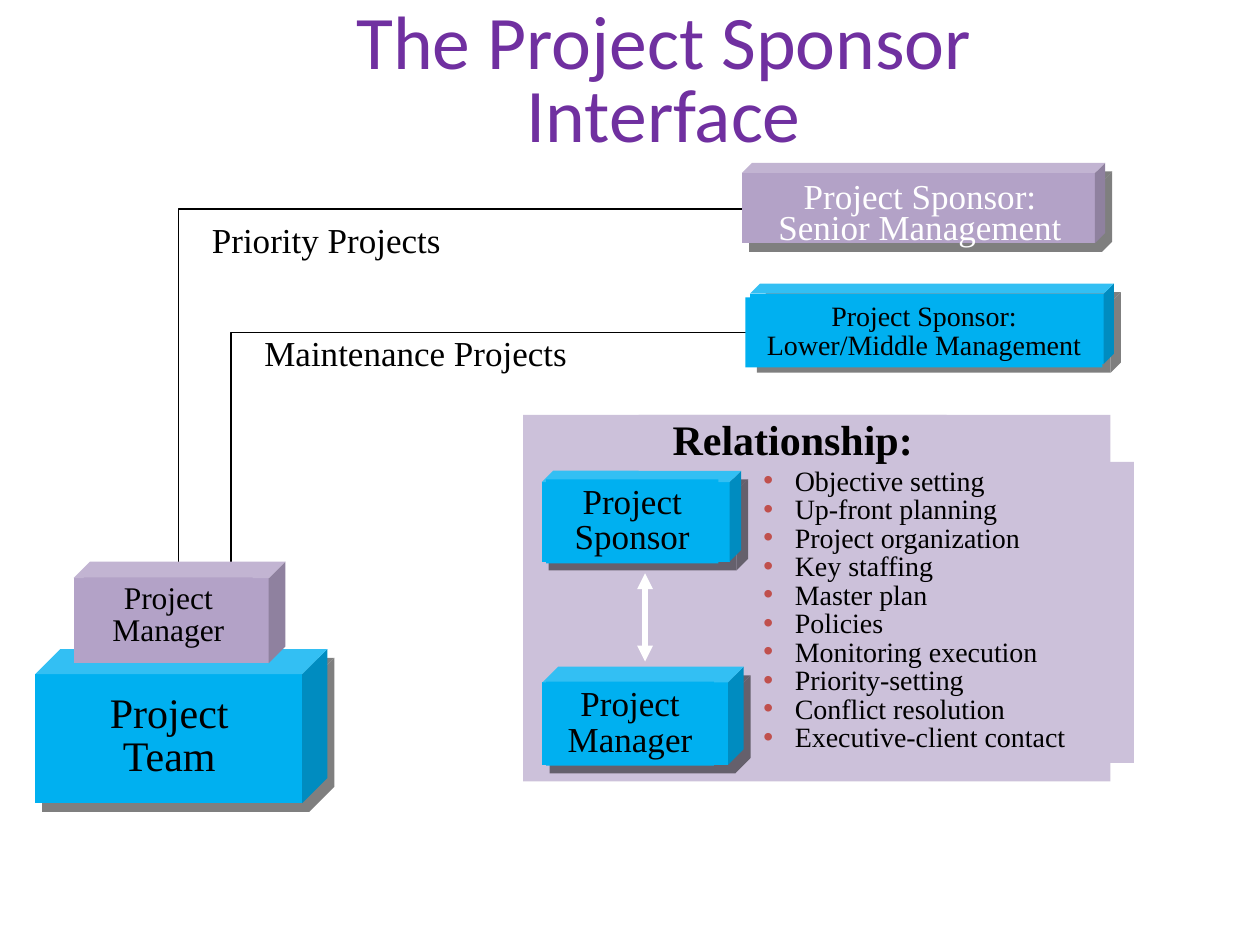
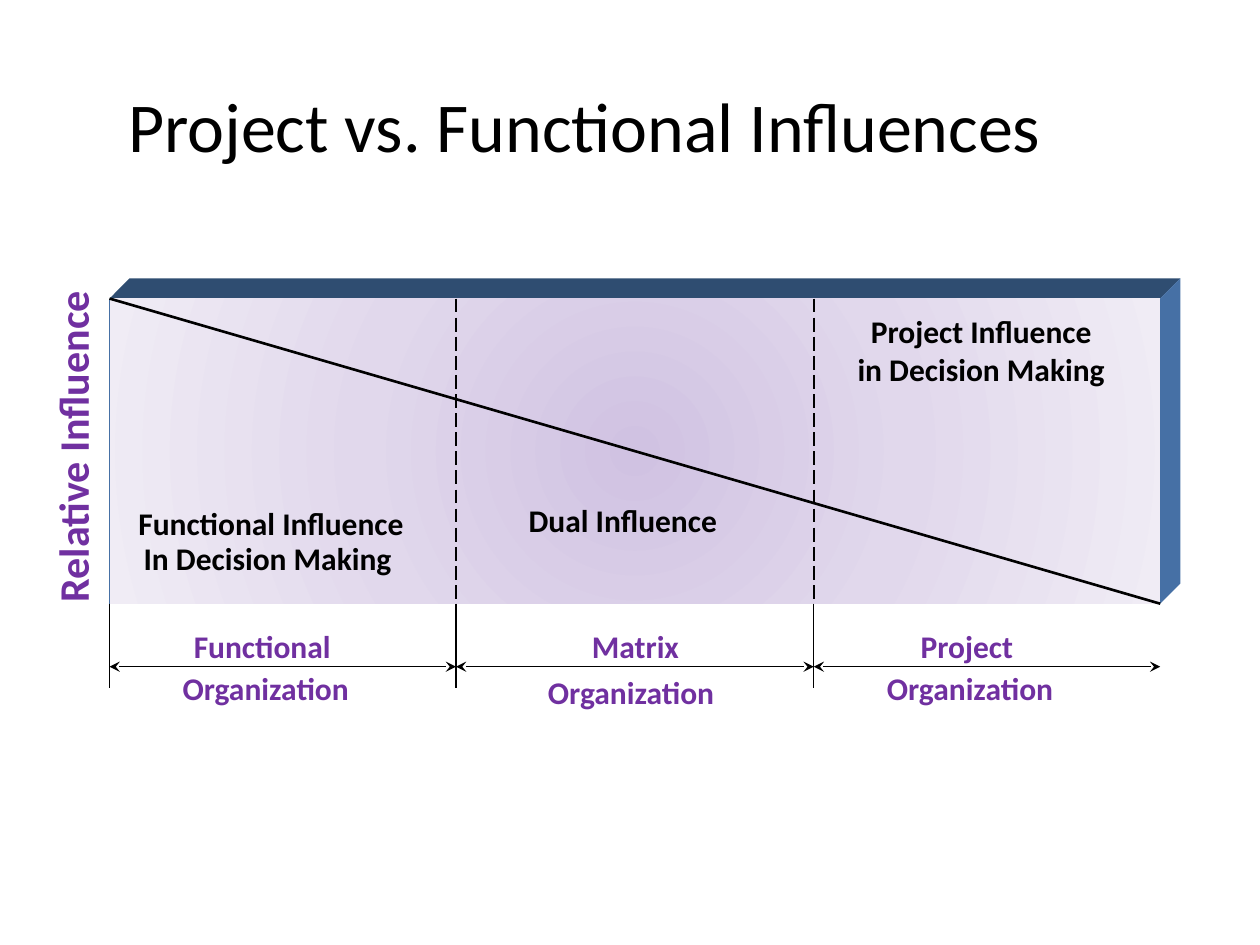
from lxml import etree
from pptx import Presentation
from pptx.dml.color import RGBColor
from pptx.enum import dml, shapes, text
from pptx.oxml.ns import qn
from pptx.util import Pt

BLACK = RGBColor(0x00, 0x00, 0x00)
WHITE = RGBColor(0xFF, 0xFF, 0xFF)
PURPLE = RGBColor(0x70, 0x30, 0xA0)
LILAC = RGBColor(0xB3, 0xA2, 0xC7)
PALE_LILAC = RGBColor(0xCC, 0xC1, 0xDA)
SKY = RGBColor(0x00, 0xB0, 0xF0)
BULLET_RED = RGBColor(0xC0, 0x50, 0x4D)
EDGE_TOP = RGBColor(0x2F, 0x4D, 0x71)
EDGE_SIDE = RGBColor(0x46, 0x70, 0xA5)
GRADIENT = [(0, "D0C2E2"), (50, "E1D8EC"), (100, "F0ECF5")]
SANS, SERIF = "Calibri", "Times New Roman"
LEFT, CENTER = text.PP_ALIGN.LEFT, text.PP_ALIGN.CENTER

# Slide 1: boxes are (left, top, width, height)
TEAM = dict(cube=(20, 371, 167, 88), depth=0.163, label=(33, 393, 127.5, 56),
            words="Project Team", size=24)
MANAGER = dict(cube=(42, 321, 121, 58), depth=0.163, label=(48, 330, 96.5, 44),
               words="Project\vManager", size=18, fill=LILAC, shadow=False)
PANEL_BLOCKS = [
    dict(cube=(310, 381, 115, 56), depth=0.159, label=(312, 389.5, 96, 48),
         words="Project Manager", size=20),
    dict(cube=(309.5, 269, 114, 52), depth=0.127, label=(312, 274, 98.5, 48),
         words="Project\vSponsor", size=20),
]
SPONSORS = [
    dict(cube=(428.5, 162, 208, 46), depth=0.127, label=(426, 170, 204, 40),
         words="Project Sponsor:\vLower/Middle Management", size=16),
    dict(cube=(424, 93, 207.5, 46), depth=0.127, label=(427.5, 101.5, 196.5, 37),
         words="Project Sponsor:\vSenior Management", size=20,
         fill=LILAC, color=WHITE, spacing=0.75),
]
# (words, left, top, right end, bottom end) of each reporting line
REPORTING_LINES = [
    ("Priority Projects", 102, 119.5, 433, 330),
    ("Maintenance Projects", 132, 190, 451, 321),
]
RELATIONSHIP_PANEL = (299, 237, 335.5, 209.5)
RELATIONSHIP_HEADING = (365, 237, 176, 32)
RELATIONSHIP_LIST = (429, 264, 219, 172)
RELATIONSHIPS = [
    "Objective setting", "Up-front planning", "Project organization", "Key staffing",
    "Master plan", "Policies", "Monitoring execution", "Priority-setting",
    "Conflict resolution", "Executive-client contact",
]

# Slide 2
DIVISIONS = [62.6, 260.6, 465, 663]
CHART_TOP, CHART_BOTTOM, CHART_DEPTH = 170.6, 345, 11.5
ARROW_Y, TICK_BOTTOM = 381, 393
INFLUENCES = [
    (["Project Influence", "in Decision Making"], (481.5, 175, 158.5, 51), CENTER),
    (["Dual Influence"], (295, 283, 128, 29), LEFT),
    (["Functional Influence"], (72, 284.5, 178.5, 29), LEFT),
    (["In Decision Making"], (75, 304.5, 158.5, 29), LEFT),
]
ORGANIZATIONS = [
    ("Functional", (103.7, 355, 93.6, 29), (97.2, 378.7, 110, 29)),
    ("Matrix", (331.2, 355, 64.8, 29), (306, 381, 110, 29)),
    ("Project", (519, 355, 70.6, 29), (499.7, 378.7, 110, 29)),
]


def place(shape, box):
    shape.left, shape.top, shape.width, shape.height = (Pt(value) for value in box)


def write(shape, lines, size, font=SERIF, color=BLACK, bold=False, align=LEFT,
          spacing=None, wrap=True, anchor=text.MSO_ANCHOR.TOP):
    """Fill a shape with one paragraph per line; a vertical tab breaks a line."""
    frame = shape.text_frame
    frame.text = "\n".join([lines] if isinstance(lines, str) else lines)
    frame.word_wrap = wrap
    frame.auto_size = text.MSO_AUTO_SIZE.NONE
    frame.vertical_anchor = anchor
    for paragraph in frame.paragraphs:
        paragraph.alignment = align
        paragraph.line_spacing = spacing
        paragraph.space_before = Pt(0)
        for run in paragraph.runs:
            run.font.size, run.font.name, run.font.bold = Pt(size), font, bold
            run.font.color.rgb = color
    for line_break in shape.element.iter(qn("a:br")):
        etree.SubElement(line_break, qn("a:rPr"), sz=str(int(size * 100)))


def add_text(slide, box, lines, size, **style):
    shape = slide.shapes.add_textbox(*(Pt(value) for value in box))
    write(shape, lines, size, **style)


def add_filled(slide, preset, box, fill):
    shape = slide.shapes.add_shape(preset, *(Pt(value) for value in box))
    shape.shadow.inherit = False
    shape.fill.solid()
    shape.fill.fore_color.rgb = fill
    shape.line.fill.background()
    return shape


def add_drop_shadow(shape):
    effects = shape.element.spPr.find(qn("a:effectLst"))
    shadow = etree.SubElement(effects, qn("a:outerShdw"), dist=str(Pt(6.4)),
                              dir=str(51 * 60000), algn="ctr", rotWithShape="0")
    color = etree.SubElement(shadow, qn("a:srgbClr"), val="000000")
    etree.SubElement(color, qn("a:alpha"), val="50000")


def add_block(slide, cube, depth, label, words, size, fill=SKY, color=BLACK,
              spacing=0.85, shadow=True):
    """Draw a cube with a label on its front face."""
    body = add_filled(slide, shapes.MSO_SHAPE.CUBE, cube, fill)
    body.adjustments[0] = depth
    if shadow:
        add_drop_shadow(body)
    face = add_filled(slide, shapes.MSO_SHAPE.RECTANGLE, label, fill)
    write(face, words, size, color=color, align=CENTER, spacing=spacing)


def add_outline(slide, points, closed, fill=None):
    builder = slide.shapes.build_freeform(Pt(points[0][0]), Pt(points[0][1]))
    builder.add_line_segments([(Pt(x), Pt(y)) for x, y in points[1:]], close=closed)
    shape = builder.convert_to_shape()
    shape.shadow.inherit = False
    if fill is None:
        shape.fill.background()
        shape.line.color.rgb = BLACK
        shape.line.width = Pt(0.75)
    else:
        shape.fill.solid()
        shape.fill.fore_color.rgb = fill
        shape.line.fill.background()


def add_line(slide, start, end, color=BLACK, width=0.75, dash=None, arrow=None):
    """Draw a straight line; arrow names the head used at both ends."""
    line = slide.shapes.add_connector(
        shapes.MSO_CONNECTOR.STRAIGHT, *(Pt(value) for value in start + end))
    line.line.color.rgb = color
    line.line.width = Pt(width)
    if dash:
        line.line.dash_style = dash
    if arrow:
        for end_name in ("a:headEnd", "a:tailEnd"):
            etree.SubElement(line.line._get_or_add_ln(), qn(end_name), type=arrow)
    etree.SubElement(line.element.spPr, qn("a:effectLst"))


def add_title(slide, box, words, size, **style):
    place(slide.shapes.title, box)
    write(slide.shapes.title, words, size, font=SANS,
          anchor=text.MSO_ANCHOR.MIDDLE, **style)


def add_relationship_list(slide):
    body = slide.placeholders[1]
    body.element.getparent().append(body.element)  # bring in front of the panel
    place(body, RELATIONSHIP_LIST)
    body.fill.solid()
    body.fill.fore_color.rgb = PALE_LILAC
    write(body, RELATIONSHIPS, 16, spacing=0.85)
    for properties in body.element.iter(qn("a:pPr")):
        properties.set("marL", str(Pt(18)))
        properties.set("indent", str(-Pt(18)))
        color = etree.SubElement(properties, qn("a:buClr"))
        etree.SubElement(color, qn("a:srgbClr"), val=str(BULLET_RED))
        etree.SubElement(properties, qn("a:buChar"), char="•")


def build_sponsor_slide(presentation):
    slide = presentation.slides.add_slide(presentation.slide_layouts[1])
    add_title(slide, (116.6, 11, 525.6, 74), "The Project Sponsor Interface", 43.2,
              color=PURPLE, align=CENTER, spacing=0.8)
    for words, left, top, right, bottom in REPORTING_LINES:
        add_outline(slide, [(left, bottom), (left, top), (right, top)], closed=False)
        add_text(slide, (left + 12, top + 4.5 - 3 * (top > 150) + 3 * (top < 150), 197, 25),
                 words, 20, spacing=0.75)
    add_block(slide, **TEAM)
    add_block(slide, **MANAGER)

    rectangle = shapes.MSO_SHAPE.RECTANGLE
    add_filled(slide, rectangle, RELATIONSHIP_PANEL, PALE_LILAC)
    for block in PANEL_BLOCKS:
        add_block(slide, **block)
    add_relationship_list(slide)
    add_line(slide, (368.6, 327.6), (368.6, 378), WHITE, 3, arrow="triangle")
    heading = add_filled(slide, rectangle, RELATIONSHIP_HEADING, PALE_LILAC)
    write(heading, "Relationship:", 24, bold=True, align=CENTER, spacing=0.85)
    for block in SPONSORS:
        add_block(slide, **block)


def add_influence_panel(slide):
    left, right = DIVISIONS[0], DIVISIONS[-1]
    back_left, back_right = left + CHART_DEPTH, right + CHART_DEPTH
    back_top, back_bottom = CHART_TOP - CHART_DEPTH, CHART_BOTTOM - CHART_DEPTH
    add_outline(slide, [(left, CHART_TOP), (back_left, back_top),
                        (back_right, back_top), (right, CHART_TOP)], True, EDGE_TOP)
    add_outline(slide, [(right, CHART_TOP), (back_right, back_top),
                        (back_right, back_bottom), (right, CHART_BOTTOM)], True, EDGE_SIDE)
    front = add_filled(slide, shapes.MSO_SHAPE.RECTANGLE,
                       (left, CHART_TOP, right - left, CHART_BOTTOM - CHART_TOP), WHITE)
    gradient = etree.Element(qn("a:gradFill"), rotWithShape="1")
    stops = etree.SubElement(gradient, qn("a:gsLst"))
    for position, color in GRADIENT:
        stop = etree.SubElement(stops, qn("a:gs"), pos=str(position * 1000))
        etree.SubElement(stop, qn("a:srgbClr"), val=color)
    circle = etree.SubElement(gradient, qn("a:path"), path="circle")
    etree.SubElement(circle, qn("a:fillToRect"),
                     {side: "50000" for side in ("l", "t", "r", "b")})
    properties = front.element.spPr
    properties.replace(properties.find(qn("a:solidFill")), gradient)
    add_line(slide, (left, CHART_TOP), (left, CHART_BOTTOM), EDGE_SIDE)


def build_influence_slide(presentation):
    slide = presentation.slides.add_slide(presentation.slide_layouts[5])
    add_title(slide, (66, 27.5, 612, 87), "Project vs. Functional Influences", 40)
    add_influence_panel(slide)
    add_line(slide, (DIVISIONS[0], CHART_TOP), (DIVISIONS[-1], CHART_BOTTOM), width=1.5)
    for x in DIVISIONS[1:-1]:
        add_line(slide, (x, CHART_TOP), (x, CHART_BOTTOM), width=1,
                 dash=dml.MSO_LINE.LONG_DASH)
    for x in DIVISIONS[:-1]:
        add_line(slide, (x, CHART_BOTTOM), (x, TICK_BOTTOM))
    for start, end in zip(DIVISIONS, DIVISIONS[1:]):
        add_line(slide, (start, ARROW_Y), (end, ARROW_Y), arrow="stealth")

    label = dict(size=18, font=SANS, bold=True, wrap=False)
    for lines, box, align in INFLUENCES:
        add_text(slide, box, lines, align=align, **label)
    for name, name_box, organization_box in ORGANIZATIONS:
        add_text(slide, name_box, name, color=PURPLE, **label)
        add_text(slide, organization_box, "Organization", color=PURPLE, **label)
    add_text(slide, (-55.5, 235.5, 194.5, 37), "Relative Influence", 24,
             font=SANS, color=PURPLE, bold=True, wrap=False)
    slide.shapes[-1].rotation = 270


def main():
    presentation = Presentation()
    presentation.slide_width, presentation.slide_height = Pt(720), Pt(540)
    build_sponsor_slide(presentation)
    build_influence_slide(presentation)
    presentation.save("out.pptx")


if __name__ == "__main__":
    main()
